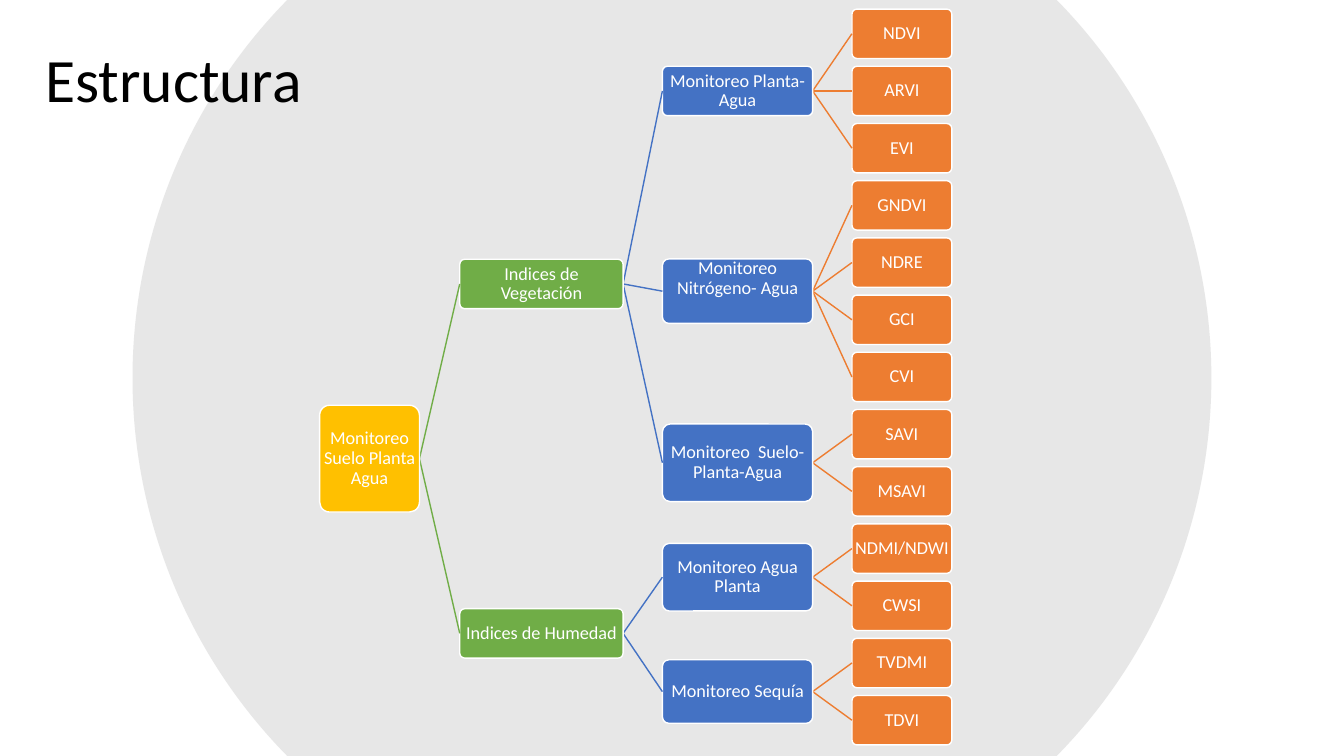
import math
from dataclasses import dataclass

import lxml.etree
import pptx
import pptx.dml.color
import pptx.enum.shapes
import pptx.enum.text
import pptx.oxml.ns
import pptx.util

HEADING = "Estructura"
TREE = ("Monitoreo Suelo Planta Agua", 1.06, [
    ("Indices de Vegetación", 0.49, [
        ("Monitoreo Planta- Agua", 0.49, ["NDVI", "ARVI", "EVI"]),
        ("Monitoreo Nitrógeno- Agua", 0.64, ["GNDVI", "NDRE", "GCI", "CVI"]),
        ("Monitoreo  Suelo-Planta-Agua", 0.77, ["SAVI", "MSAVI"]),
    ]),
    ("Indices de Humedad", 0.49, [
        ("Monitoreo Agua Planta", 0.67, ["NDMI/NDWI", "CWSI"]),
        ("Monitoreo Sequía", 0.63, ["TVDMI", "TDVI"]),
    ]),
])
TOP_ALIGNED = {"Monitoreo Nitrógeno- Agua"}


@dataclass(frozen=True)
class Theme:
    font: str = "Calibri"
    heading_size: int = 44
    node_size: int = 13
    line_width: int = 1
    heading: str = "000000"
    white: str = "FFFFFF"
    disc: str = "D9D9D9"
    disc_opacity: int = 62
    levels: tuple = ("FFC000", "70AD47", "4472C4", "ED7D31")


THEME = Theme()
WIDTH, HEIGHT = 13.33, 7.5
COLUMN_LEFTS = (3.17, 4.56, 6.57, 8.45)
COLUMN_WIDTHS = (0.99, 1.62, 1.49, 0.99)
LEAF_COUNT = 13
LEAF_TOP, LAST_LEAF_TOP, LEAF_HEIGHT = 0.09, 6.9, 0.49
LEAF_PITCH = (LAST_LEAF_TOP - LEAF_TOP) / (LEAF_COUNT - 1)
DISC_RADIUS = 5.35

inches = pptx.util.Inches
color = pptx.dml.color.RGBColor.from_string
qn = pptx.oxml.ns.qn

deck = pptx.Presentation()
deck.slide_width, deck.slide_height = inches(WIDTH), inches(HEIGHT)
slide = deck.slides.add_slide(deck.slide_layouts[6])


def write(shape, words, size, tint, align, anchor):
    frame = shape.text_frame
    frame.word_wrap = True
    frame.vertical_anchor = anchor
    paragraph = frame.paragraphs[0]
    paragraph.alignment = align
    paragraph.line_spacing = 0.9
    run = paragraph.add_run()
    run.text = words
    run.font.name = THEME.font
    run.font.size = pptx.util.Pt(size)
    run.font.color.rgb = color(tint)


def draw_disc():
    limit = math.asin(HEIGHT / 2 / DISC_RADIUS)
    angles = [side + turn for side in (0, math.pi) for turn in (-limit, 0, limit)]
    rim = [(inches(WIDTH / 2 + DISC_RADIUS * math.cos(angle)),
            inches(HEIGHT / 2 + DISC_RADIUS * math.sin(angle))) for angle in angles]
    builder = slide.shapes.build_freeform(*rim[0])
    builder.add_line_segments(rim[1:], close=True)
    disc = builder.convert_to_shape()
    edges = list(disc._element.iter(qn("a:lnTo")))
    for start in (0, 1, 3, 4):
        arc = lxml.etree.Element(
            qn("a:arcTo"), wR=str(inches(DISC_RADIUS)), hR=str(inches(DISC_RADIUS)),
            stAng=str(round(math.degrees(angles[start] % math.tau) * 60000)),
            swAng=str(round(math.degrees(limit) * 60000)))
        edges[start].getparent().replace(edges[start], arc)
    disc.shadow.inherit = False
    disc.line.fill.background()
    disc.fill.solid()
    disc.fill.fore_color.rgb = color(THEME.disc)
    tint = disc._element.spPr.find(qn("a:solidFill"))[0]
    lxml.etree.SubElement(tint, qn("a:alpha"), val=str(THEME.disc_opacity * 1000))


def draw_branch(level, start_y, end_y):
    start_x = COLUMN_LEFTS[level - 1] + COLUMN_WIDTHS[level - 1]
    branch = slide.shapes.add_connector(
        pptx.enum.shapes.MSO_CONNECTOR.STRAIGHT,
        inches(start_x), inches(start_y), inches(COLUMN_LEFTS[level]), inches(end_y))
    branch.line.color.rgb = color(THEME.levels[level])
    branch.line.width = pptx.util.Pt(THEME.line_width)
    lxml.etree.SubElement(branch._element.spPr, qn("a:effectLst"))


def draw_node(label, level, top, height):
    node = slide.shapes.add_shape(
        pptx.enum.shapes.MSO_SHAPE.ROUNDED_RECTANGLE,
        inches(COLUMN_LEFTS[level]), inches(top),
        inches(COLUMN_WIDTHS[level]), inches(height))
    node.adjustments[0] = 0.1
    node.shadow.inherit = False
    node.fill.solid()
    node.fill.fore_color.rgb = color(THEME.levels[level])
    node.line.color.rgb = color(THEME.white)
    node.line.width = pptx.util.Pt(THEME.line_width)
    raised = label in TOP_ALIGNED
    anchors = pptx.enum.text.MSO_ANCHOR
    frame = node.text_frame
    frame.margin_left = frame.margin_right = frame.margin_bottom = inches(0.01)
    frame.margin_top = inches(-0.02 if raised else 0.01)
    write(node, label, THEME.node_size, THEME.white,
          pptx.enum.text.PP_ALIGN.CENTER, anchors.TOP if raised else anchors.MIDDLE)


def draw_tree(entry, level, first_leaf):
    if isinstance(entry, str):
        top = LEAF_TOP + LEAF_PITCH * first_leaf
        draw_node(entry, level, top, LEAF_HEIGHT)
        return top, top + LEAF_HEIGHT, first_leaf + 1
    label, height, children = entry
    spans = []
    next_leaf = first_leaf
    for child in children:
        child_top, child_bottom, next_leaf = draw_tree(child, level + 1, next_leaf)
        spans.append((child_top, child_bottom))
    middle = (spans[0][0] + spans[-1][1]) / 2
    for child_top, child_bottom in spans:
        draw_branch(level + 1, middle, (child_top + child_bottom) / 2)
    draw_node(label, level, middle - height / 2, height)
    return middle - height / 2, middle + height / 2, next_leaf


draw_disc()
heading = slide.shapes.add_textbox(inches(0.35), inches(0.09), inches(11.5), inches(1.45))
write(heading, HEADING, THEME.heading_size, THEME.heading,
      pptx.enum.text.PP_ALIGN.LEFT, pptx.enum.text.MSO_ANCHOR.MIDDLE)
draw_tree(TREE, 0, 0)
deck.save("out.pptx")
